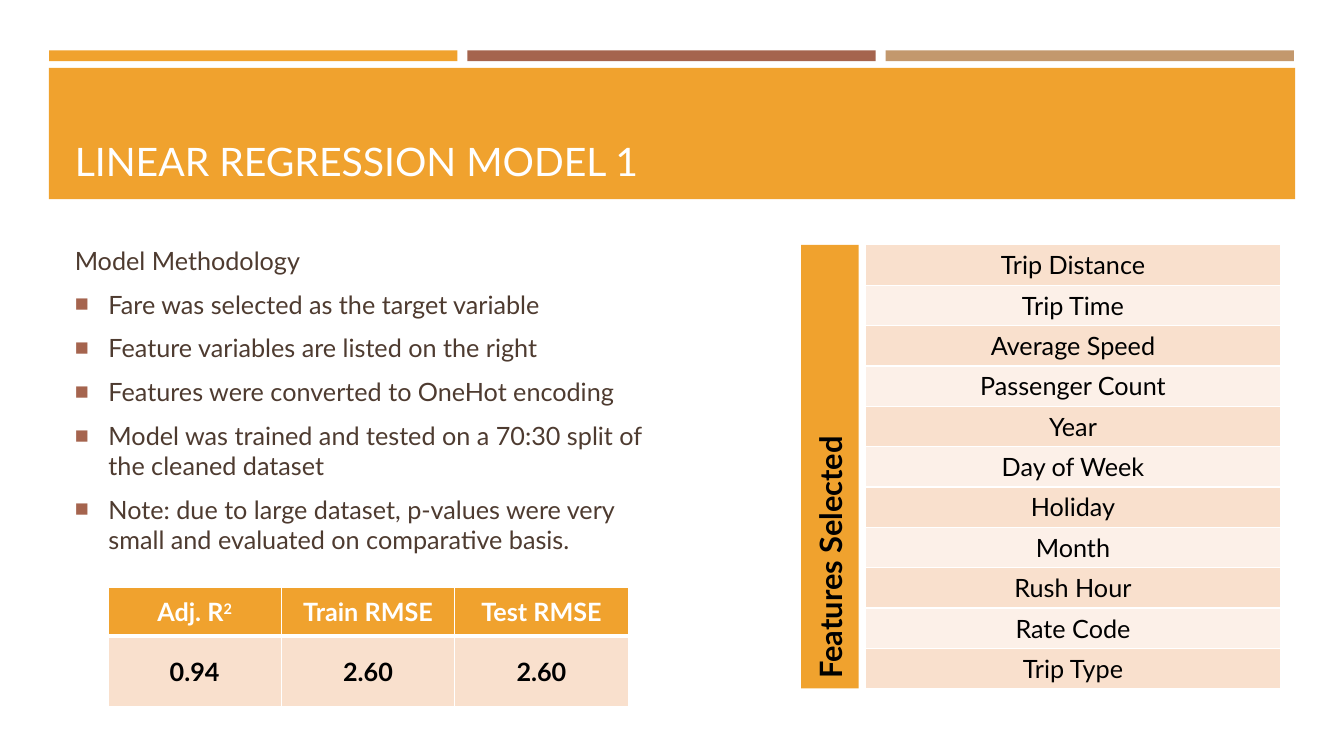
import pptx
import pptx.dml.color
import pptx.enum.shapes
import pptx.enum.text
import pptx.oxml
import pptx.oxml.ns
import pptx.util
from pptx.util import Cm

FONT = "Lato"
COLORS = {
    "orange": "F0A22E", "rust": "A5644E", "tan": "C3986D", "brown": "4E3B30",
    "peach": "F9E0CD", "cream": "FCF0E8", "white": "FFFFFF", "black": "000000",
}
METHODOLOGY = [
    "Model Methodology",
    "Fare was selected as the target variable",
    "Feature variables are listed on the right",
    "Features were converted to OneHot encoding",
    "Model was trained and tested on a 70:30 split of the cleaned dataset",
    "Note: due to large dataset, p-values were very small and evaluated on comparative basis.",
]
FEATURES = [
    "Trip Distance", "Trip Time", "Average Speed", "Passenger Count", "Year",
    "Day of Week", "Holiday", "Month", "Rush Hour", "Rate Code", "Trip Type",
]
SCORES = [["Adj. R", "Train RMSE", "Test RMSE"], ["0.94", "2.60", "2.60"]]


def rgb(name):
    return pptx.dml.color.RGBColor.from_string(COLORS[name])


def xml(text):
    head, tail = text.split(" ", 1)
    return pptx.oxml.parse_xml(f"{head} {pptx.oxml.ns.nsdecls('a')} {tail}")


def style(p, size, color, bold=False, align="LEFT"):
    p.font.name = FONT
    p.font.size = pptx.util.Pt(size)
    p.font.bold = bold
    p.font.color.rgb = rgb(color)
    p.alignment = getattr(pptx.enum.text.PP_ALIGN, align)


def place(sp, left, top, width, height):
    sp.left, sp.top, sp.width, sp.height = map(Cm, (left, top, width, height))


def add_bar(s, color, left, top, width, height):
    sp = s.shapes.add_shape(pptx.enum.shapes.MSO_SHAPE.RECTANGLE,
                            *map(Cm, (left, top, width, height)))
    sp.shadow.inherit = False
    sp.fill.solid()
    sp.fill.fore_color.rgb = rgb(color)
    sp.line.fill.background()
    return sp


def add_title(s, text):
    sp = s.shapes.title
    place(sp, 1.63, 1.96, 30.63, 2.82)
    tf = sp.text_frame
    tf.text = text
    tf.auto_size = pptx.enum.text.MSO_AUTO_SIZE.NONE
    tf.vertical_anchor = pptx.enum.text.MSO_ANCHOR.BOTTOM
    style(tf.paragraphs[0], 28, "white")


def set_bullet(p):
    pPr = p._p.get_or_add_pPr()
    pPr.set("marL", str(Cm(0.85)))
    pPr.set("indent", str(-Cm(0.85)))
    bullet = [f'<a:buClr ><a:srgbClr val="{COLORS["rust"]}"/></a:buClr>',
              '<a:buSzPct val="92000"/>', '<a:buFont typeface="Arial"/>', '<a:buChar char="■"/>']
    defRPr = pPr.find(pptx.oxml.ns.qn("a:defRPr"))
    for part in bullet:
        defRPr.addprevious(xml(part))


def set_no_bullet(p):
    pPr = p._p.get_or_add_pPr()
    pPr.set("marL", "0")
    pPr.set("indent", "0")
    pPr.find(pptx.oxml.ns.qn("a:defRPr")).addprevious(xml("<a:buNone />"))


def add_methodology(s, lines):
    sp = s.placeholders[1]
    place(sp, 1.63, 6.05, 15.32, 8.76)
    tf = sp.text_frame
    tf.text = "\n".join(lines)
    tf.auto_size = pptx.enum.text.MSO_AUTO_SIZE.NONE
    tf.vertical_anchor = pptx.enum.text.MSO_ANCHOR.TOP
    for i, p in enumerate(tf.paragraphs):
        style(p, 18, "brown")
        p.space_before = pptx.util.Pt(3.6)
        p.space_after = pptx.util.Pt(6)
        if i:
            set_bullet(p)
        else:
            set_no_bullet(p)


def set_borders(cell, top=1, bottom=1):
    tcPr = cell._tc.get_or_add_tcPr()
    for side, width in zip("LRTB", (1, 1, top, bottom)):
        tcPr.append(xml(f'<a:ln{side} w="{pptx.util.Pt(width)}"><a:solidFill>'
                        f'<a:srgbClr val="{COLORS["white"]}"/></a:solidFill></a:ln{side}>'))


def fill_cell(cell, text, fill, color="black", bold=False, anchor="TOP", **borders):
    set_borders(cell, **borders)
    cell.fill.solid()
    cell.fill.fore_color.rgb = rgb(fill)
    cell.vertical_anchor = getattr(pptx.enum.text.MSO_ANCHOR, anchor)
    cell.text = text
    style(cell.text_frame.paragraphs[0], 18, color, bold, "CENTER")


def add_grid(s, rows, cols, left, top, width, height):
    table = s.shapes.add_table(rows, cols, *map(Cm, (left, top, width, height))).table
    table.first_row = table.horz_banding = False
    return table


def add_features(s, features):
    table = add_grid(s, len(features), 1, 21.82, 6.17, 10.44, 11.18)
    for i, feature in enumerate(features):
        fill_cell(table.cell(i, 0), feature, ("peach", "cream")[i % 2])


def add_features_label(s, text):
    tf = add_bar(s, "orange", 20.19, 6.17, 1.45, 11.18).text_frame
    tf._txBody.bodyPr.set("vert", "vert270")
    tf.vertical_anchor = pptx.enum.text.MSO_ANCHOR.MIDDLE
    tf.text = text
    style(tf.paragraphs[0], 22, "black", bold=True)


def add_scores(s, scores):
    table = add_grid(s, 2, 3, 2.72, 14.81, 13.11, 3)
    table.rows[0].height, table.rows[1].height = Cm(1.22), Cm(1.78)
    for j, (header, value) in enumerate(zip(*scores)):
        fill_cell(table.cell(0, j), header, "orange", "white", True, "MIDDLE", bottom=3)
        fill_cell(table.cell(1, j), value, "peach", "black", True, "MIDDLE", top=3)
    r = table.cell(0, 0).text_frame.paragraphs[0].add_run()
    r.text = "2"
    r._r.get_or_add_rPr().set("baseline", "30000")


def main():
    prs = pptx.Presentation()
    prs.slide_width, prs.slide_height = Cm(33.87), Cm(19.05)
    s = prs.slides.add_slide(prs.slide_layouts[1])
    for i, color in enumerate(("orange", "rust", "tan")):
        add_bar(s, color, 1.24 + i * 10.54, 1.27, 10.29, 0.27)
    band = add_bar(s, "orange", 1.23, 1.71, 31.41, 3.31)
    s.shapes.title._element.addprevious(band._element)
    add_title(s, "LINEAR REGRESSION MODEL 1")
    add_features(s, FEATURES)
    add_features_label(s, "Features Selected")
    add_methodology(s, METHODOLOGY)
    add_scores(s, SCORES)
    prs.save("out.pptx")


if __name__ == "__main__":
    main()
